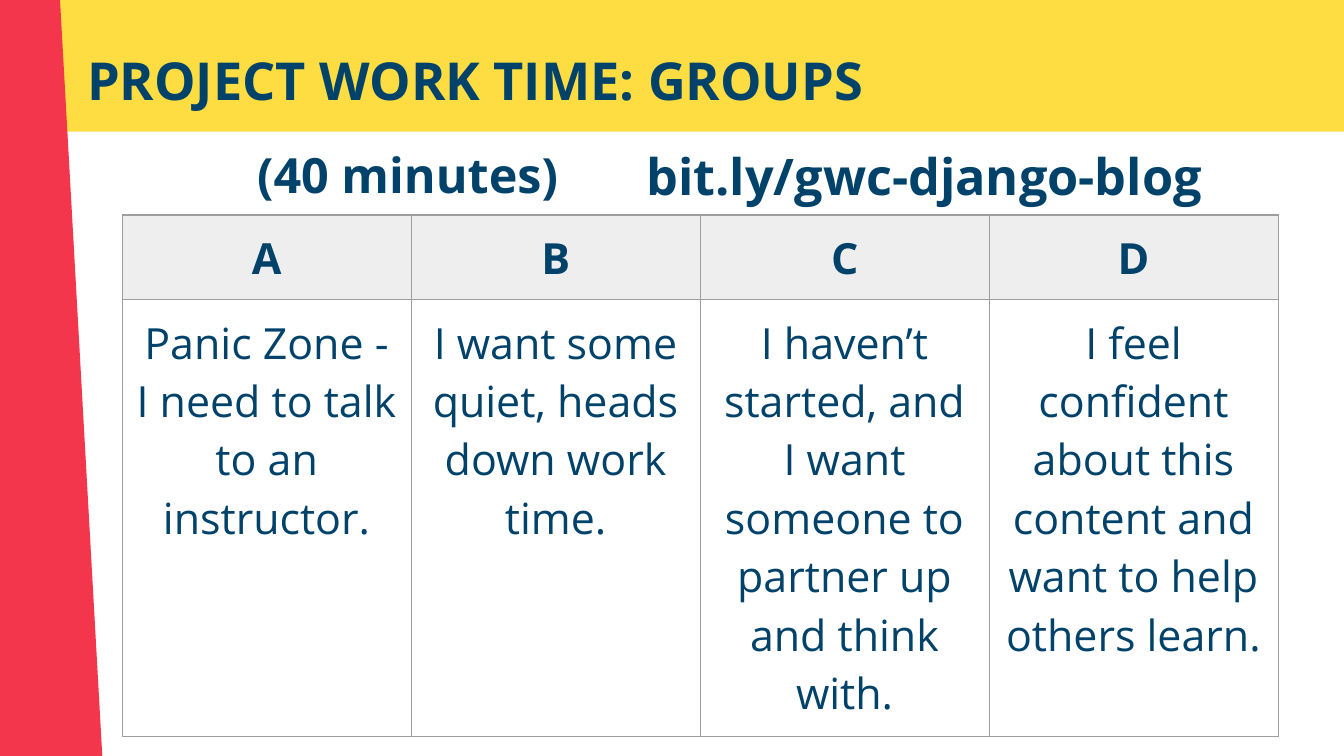
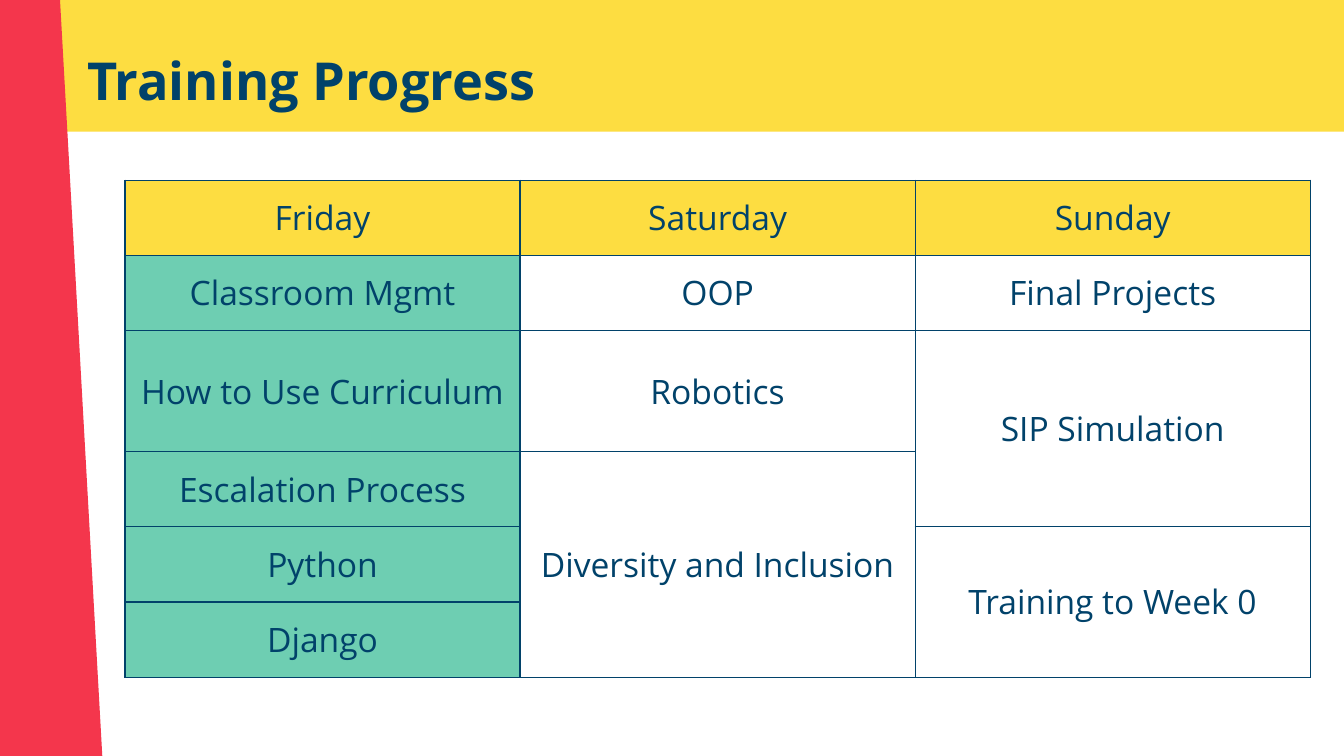
from dataclasses import dataclass

from lxml.etree import SubElement
from pptx import Presentation
from pptx.dml.color import RGBColor as Color
from pptx.enum.shapes import MSO_SHAPE as Shape
from pptx.enum.text import MSO_ANCHOR as Anchor, PP_ALIGN as Align
from pptx.oxml.ns import qn
from pptx.util import Inches, Pt


@dataclass(frozen=True)
class Theme:
    font: str = "Open Sans"
    navy: str = "01426A"
    yellow: str = "FDDD41"
    red: str = "F4364C"
    green: str = "6ECEB2"
    light_gray: str = "EEEEEE"
    border_gray: str = "9E9E9E"
    title_size: int = 28
    link_size: int = 27
    time_size: int = 26
    group_size: int = 23
    schedule_size: int = 18
    border_width: float = 0.75
    inset: float = 0.1


THEME = Theme()

GROUPS = [
    ["A", "B", "C", "D"],
    [
        "Panic Zone - I need to talk to an instructor.",
        "I want some quiet, heads down work time.",
        "I haven’t started, and I want someone to partner up and think with.",
        "I feel confident about this content and want to help others learn.",
    ],
]

# None continues the cell above it
SCHEDULE = [
    ["Friday", "Saturday", "Sunday"],
    ["Classroom Mgmt", "OOP", "Final Projects"],
    ["How to Use Curriculum", "Robotics", "SIP Simulation"],
    ["Escalation Process", "Diversity and Inclusion", None],
    ["Python", None, "Training to Week 0"],
    ["Django", None, None],
]


# Text
def set_insets(target):
    for side in ("left", "right", "top", "bottom"):
        setattr(target, f"margin_{side}", Inches(THEME.inset))


def write_text(text_frame, text, size, bold=False, align=Align.LEFT):
    paragraph = text_frame.paragraphs[0]
    paragraph.alignment = align
    run = paragraph.add_run()
    run.text = text
    font_format = {"name": THEME.font, "size": Pt(size), "bold": bold}
    for name, value in font_format.items():
        setattr(run.font, name, value)
    run.font.color.rgb = Color.from_string(THEME.navy)


def add_text(slide, box, text, size, align=Align.LEFT):
    shape = slide.shapes.add_textbox(*map(Inches, box))
    shape.text_frame.word_wrap = True
    set_insets(shape.text_frame)
    write_text(shape.text_frame, text, size, True, align)


# Bands and title shared by the slides
def add_band(slide, box, color, rotation=0):
    shape = slide.shapes.add_shape(Shape.RECTANGLE, *map(Inches, box))
    shape.shadow.inherit = False
    shape.fill.solid()
    shape.fill.fore_color.rgb = Color.from_string(color)
    shape.line.fill.background()
    shape.rotation = rotation


def add_titled_slide(presentation, title):
    slide = presentation.slides.add_slide(presentation.slide_layouts[6])
    add_band(slide, (-0.84, -0.02, 11, 1), THEME.yellow)
    add_band(slide, (-5.13, 0.7, 10.21, 1.08), THEME.red, 86.8)
    add_text(slide, (0.55, 0.26, 9.32, 0.63), title, THEME.title_size)
    return slide


# Tables
def set_borders(cell, color):
    properties = cell._tc.get_or_add_tcPr()
    for index, side in enumerate(("lnL", "lnR", "lnT", "lnB")):
        line = SubElement(properties, qn(f"a:{side}"), w=str(Pt(THEME.border_width)))
        fill = SubElement(line, qn("a:solidFill"))
        SubElement(fill, qn("a:srgbClr"), val=color)
        properties.insert(index, line)


def fill_cell(cell, color):
    if color:
        cell.fill.solid()
        cell.fill.fore_color.rgb = Color.from_string(color)
    else:
        cell.fill.background()


def merge_down(table, rows):
    for column in range(len(rows[0])):
        start = 0
        for row in range(1, len(rows) + 1):
            if row < len(rows) and rows[row][column] is None:
                continue
            if row - start > 1:
                table.cell(start, column).merge(table.cell(row - 1, column))
            start = row


def add_grid(slide, corner, rows, column_width, row_heights, size, border,
             header_fill, first_column_fill=None, bold_header=False,
             anchor=Anchor.TOP):
    column_count = len(rows[0])
    frame = slide.shapes.add_table(
        len(rows), column_count, *map(Inches, corner),
        Inches(column_width * column_count), Inches(sum(row_heights)))
    table = frame.table
    table.first_row = table.horz_banding = False
    for column in table.columns:
        column.width = Inches(column_width)
    for row, height in zip(table.rows, row_heights):
        row.height = Inches(height)

    for row_index, row in enumerate(rows):
        for column_index, text in enumerate(row):
            cell = table.cell(row_index, column_index)
            is_header = row_index == 0
            body_fill = first_column_fill if column_index == 0 else None
            fill_cell(cell, header_fill if is_header else body_fill)
            set_borders(cell, border)
            set_insets(cell)
            cell.vertical_anchor = anchor
            if text:
                write_text(cell.text_frame, text, size,
                           is_header and bold_header, Align.CENTER)
    merge_down(table, rows)


# Slides
def add_groups_slide(presentation):
    slide = add_titled_slide(presentation, "PROJECT WORK TIME: GROUPS")
    add_grid(slide, (0.91, 1.6), GROUPS, 2.15, [0.63, 3.25], THEME.group_size,
             THEME.border_gray, THEME.light_gray, bold_header=True)
    add_text(slide, (1.66, 0.98, 2.75, 0.63), "(40 minutes)",
             THEME.time_size, Align.CENTER)
    add_text(slide, (4.71, 0.98, 4.39, 0.63), "bit.ly/gwc-django-blog",
             THEME.link_size)


def add_progress_slide(presentation):
    slide = add_titled_slide(presentation, "Training Progress")
    row_heights = [0.56, 0.56, 0.9, 0.56, 0.56, 0.56]
    add_grid(slide, (0.93, 1.34), SCHEDULE, 2.94, row_heights,
             THEME.schedule_size, THEME.navy, THEME.yellow,
             first_column_fill=THEME.green, anchor=Anchor.MIDDLE)


def main():
    presentation = Presentation()
    presentation.slide_width = Inches(10)
    presentation.slide_height = presentation.slide_width * 9 // 16
    add_groups_slide(presentation)
    add_progress_slide(presentation)
    presentation.save("out.pptx")


if __name__ == "__main__":
    main()
